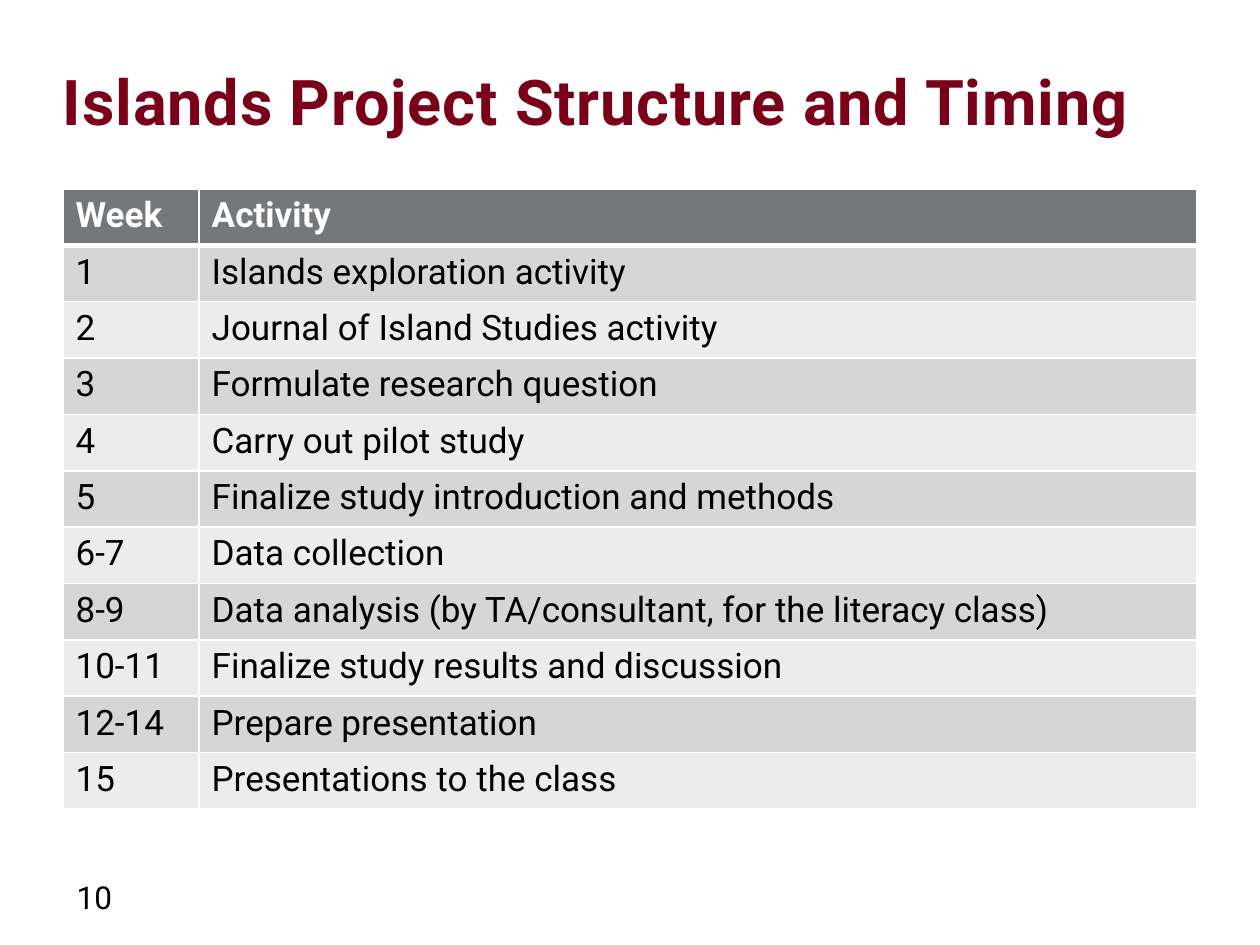
from lxml import etree
from pptx import Presentation
from pptx.dml.color import RGBColor
from pptx.enum.text import MSO_ANCHOR, MSO_AUTO_SIZE
from pptx.oxml.ns import qn
from pptx.util import Inches, Pt

TOP = MSO_ANCHOR.TOP
GROW = MSO_AUTO_SIZE.SHAPE_TO_FIT_TEXT
MAROON = RGBColor(0x7A, 0x00, 0x19)
BLACK = RGBColor(0x00, 0x00, 0x00)
WHITE = RGBColor(0xFF, 0xFF, 0xFF)
HEADER = RGBColor(0x75, 0x78, 0x7B)
BAND_DARK = RGBColor(0xD6, 0xD6, 0xD7)
BAND_LIGHT = RGBColor(0xEC, 0xEC, 0xEC)

WIDTH, HEIGHT = Inches(10), Inches(7.5)
MARGIN = WIDTH // 20
CONTENT_WIDTH = WIDTH - 2 * MARGIN
WEEK_SHARE = 0.12
SCHEDULE = [
    ("Week", "Activity"),
    ("1", "Islands exploration activity"),
    ("2", "Journal of Island Studies activity"),
    ("3", "Formulate research question"),
    ("4", "Carry out pilot study"),
    ("5", "Finalize study introduction and methods"),
    ("6-7", "Data collection"),
    ("8-9", "Data analysis (by TA/consultant, for the literacy class)"),
    ("10-11", "Finalize study results and discussion"),
    ("12-14", "Prepare presentation"),
    ("15", "Presentations to the class"),
]


def write(tf, text, size=20, color=BLACK, bold=False, spacing=0):
    """Put one formatted run in the first paragraph of a text frame."""
    r = tf.paragraphs[0].add_run()
    r.text = text
    r.font.name = "Roboto"
    r.font.size = Pt(size)
    r.font.bold = bold
    r.font.color.rgb = color
    if spacing:
        r.font._element.set("spc", str(round(spacing * 100)))


def add_title(s, text):
    """Add the slide title without insets."""
    tf = s.shapes.add_textbox(MARGIN, MARGIN, CONTENT_WIDTH, Inches(0.76)).text_frame
    tf.word_wrap = True
    tf.vertical_anchor = TOP
    tf.margin_left = tf.margin_right = tf.margin_top = tf.margin_bottom = 0
    write(tf, text, size=36, color=MAROON, bold=True, spacing=0.5)


def add_page_number(s, text):
    """Add the page number at the bottom left."""
    tf = s.shapes.add_textbox(Inches(0.51), Inches(6.92), Inches(0.51), Inches(0.4)).text_frame
    tf.word_wrap = False
    tf.auto_size = GROW
    write(tf, text, size=18)


def set_borders(cell, **widths):
    """Draw white cell borders, given widths in points by side."""
    tcPr = cell._tc.get_or_add_tcPr()
    for i, (side, width) in enumerate(widths.items()):
        ln = etree.Element(qn(f"a:ln{side}"), w=str(Pt(width)))
        fill = etree.SubElement(ln, qn("a:solidFill"))
        etree.SubElement(fill, qn("a:srgbClr"), val=str(WHITE))
        tcPr.insert(i, ln)


def add_schedule(s, rows):
    """Add the table with a header row and banded body rows."""
    row_height = Inches(4.92) // len(rows)
    table = s.shapes.add_table(len(rows), 2, MARGIN, HEIGHT // 5,
                               CONTENT_WIDTH, row_height * len(rows)).table
    week_width = int(CONTENT_WIDTH * WEEK_SHARE)
    table.columns[0].width = week_width
    table.columns[1].width = CONTENT_WIDTH - week_width
    for i, row in enumerate(rows):
        is_header = i == 0
        band = HEADER if is_header else (BAND_LIGHT, BAND_DARK)[i % 2]
        for j, text in enumerate(row):
            cell = table.cell(i, j)
            cell.fill.solid()
            cell.fill.fore_color.rgb = band
            set_borders(cell, L=1, R=1, T=3 if i == 1 else 1, B=3 if is_header else 1)
            write(cell.text_frame, text, color=WHITE if is_header else BLACK, bold=is_header)


def main():
    """Build and save the slide."""
    prs = Presentation()
    prs.slide_width, prs.slide_height = WIDTH, HEIGHT
    s = prs.slides.add_slide(prs.slide_layouts[6])
    add_page_number(s, "10")
    add_schedule(s, SCHEDULE)
    add_title(s, "Islands Project Structure and Timing")
    prs.save("out.pptx")


if __name__ == "__main__":
    main()
